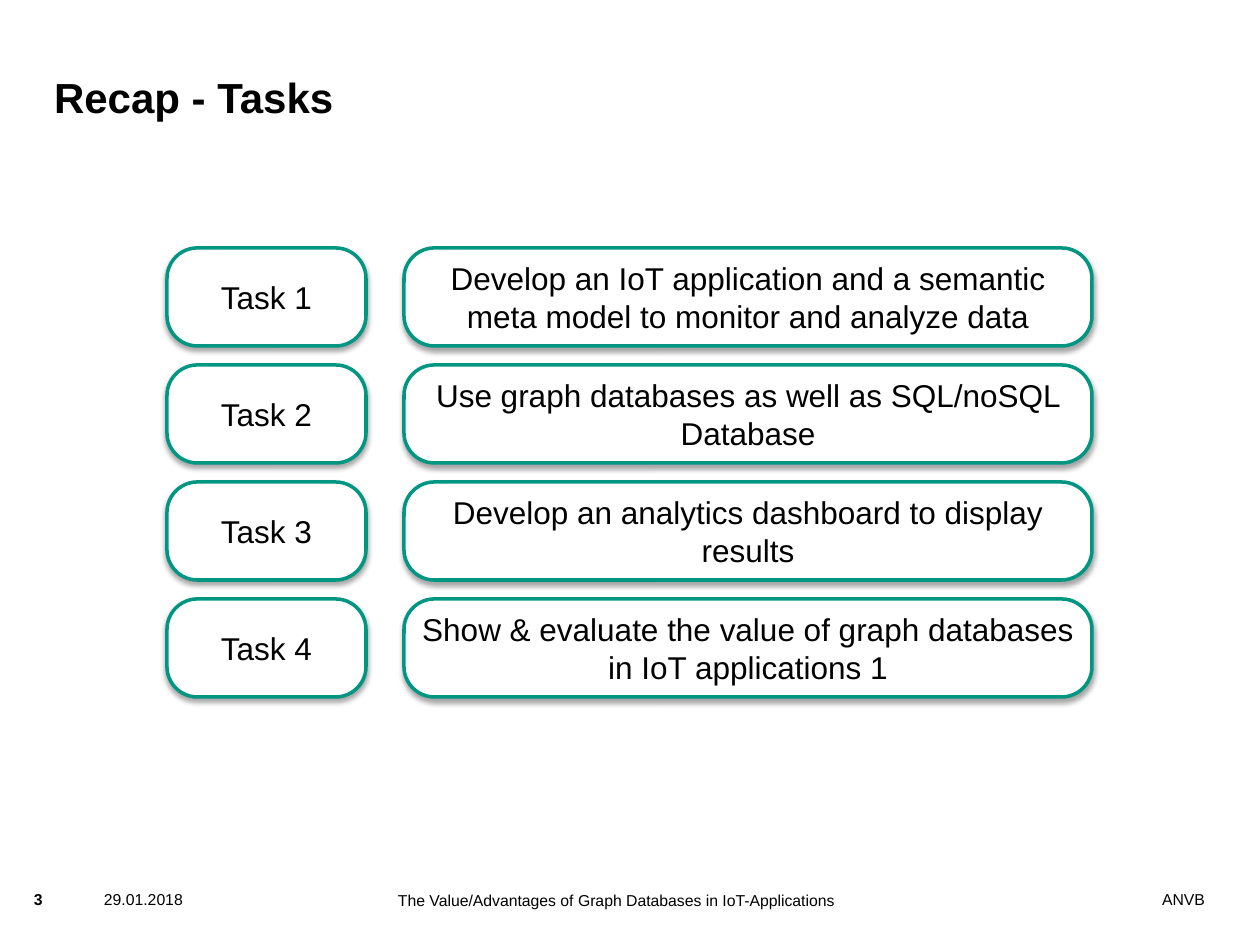
import lxml.etree
import pptx
import pptx.dml.color
import pptx.enum.shapes
import pptx.enum.text
import pptx.oxml.ns
import pptx.util

PX = 914400 / 126
ALIGN = pptx.enum.text.PP_ALIGN
ANCHOR = pptx.enum.text.MSO_ANCHOR
TASKS = [
    "Develop an IoT application and a semantic meta model to monitor and analyze data",
    "Use graph databases as well as SQL/noSQL Database",
    "Develop an analytics dashboard to display results",
    "Show & evaluate the value of graph databases in IoT applications 1",
]


def px(length):
    return pptx.util.Emu(round(length * PX))


def emu_box(box):
    return [px(length) for length in box]


def color(hex_code):
    return pptx.dml.color.RGBColor.from_string(hex_code)


def write(shape, text, size, bold=False, align=ALIGN.LEFT,
          anchor=ANCHOR.TOP, inset=0, wrap=True):
    frame = shape.text_frame
    frame.word_wrap = wrap
    frame.vertical_anchor = anchor
    frame.margin_left = frame.margin_right = px(inset)
    frame.margin_top = frame.margin_bottom = px(inset)
    paragraph = frame.paragraphs[0]
    paragraph.alignment = align
    run = paragraph.add_run()
    run.text = text
    run.font.name = "Arial"
    run.font.size = pptx.util.Pt(size)
    run.font.bold = bold
    run.font.color.rgb = color("000000")


def add_label(slide, box, text, size, **style):
    write(slide.shapes.add_textbox(*emu_box(box)), text, size, **style)


def add_soft_shadow(shape):
    """Give the shape a faint shadow that falls straight down."""
    shape.shadow.inherit = False
    qn = pptx.oxml.ns.qn
    effects = shape._element.spPr.find(qn("a:effectLst"))
    shadow = lxml.etree.SubElement(
        effects, qn("a:outerShdw"), blurRad=str(pptx.util.Pt(3)),
        dist=str(pptx.util.Pt(1.8)), dir="5400000", rotWithShape="0")
    tint = lxml.etree.SubElement(shadow, qn("a:srgbClr"), val="000000")
    lxml.etree.SubElement(tint, qn("a:alpha"), val="35000")


def add_card(slide, box, text):
    card = slide.shapes.add_shape(
        pptx.enum.shapes.MSO_SHAPE.ROUNDED_RECTANGLE, *emu_box(box))
    card.adjustments[0] = 0.31
    card.fill.solid()
    card.fill.fore_color.rgb = color("FFFFFF")
    card.line.color.rgb = color("009682")
    card.line.width = pptx.util.Pt(2)
    add_soft_shadow(card)
    write(card, text, 18, align=ALIGN.CENTER, anchor=ANCHOR.MIDDLE, inset=6)


def add_task_list(slide, box):
    """Stack one row per task: a number card and a description card."""
    left, top, width, height = box
    row_gap, column_gap, number_width = 19, 38, 199
    row_height = (height - row_gap * (len(TASKS) - 1)) / len(TASKS)
    indent = number_width + column_gap
    for index, task in enumerate(TASKS):
        row_top = top + index * (row_height + row_gap)
        add_card(slide, (left, row_top, number_width, row_height), f"Task {index + 1}")
        add_card(slide, (left + indent, row_top, width - indent, row_height), task)


def add_footer(slide, box):
    left, top, width, height = box
    add_label(slide, (left, top, 18, height), "3", 9, bold=True, wrap=False)
    add_label(slide, (left + 70, top, 112, height), "29.01.2018", 9)
    add_label(slide, (left + 364, top + 1, 464, height),
              "The Value/Advantages of Graph Databases in IoT-Applications", 9)
    add_label(slide, (left + width - 377, top, 377, height), "ANVB", 9,
              align=ALIGN.RIGHT)


def main():
    deck = pptx.Presentation()
    deck.slide_width, deck.slide_height = px(1260), px(945)
    slide = deck.slides.add_slide(deck.slide_layouts[6])
    add_label(slide, (54, 45, 953, 77), "Recap - Tasks", 24, bold=True,
              anchor=ANCHOR.BOTTOM)
    add_task_list(slide, (167, 248, 925, 449))
    add_footer(slide, (34, 890, 1171, 18))
    deck.save("out.pptx")


if __name__ == "__main__":
    main()
